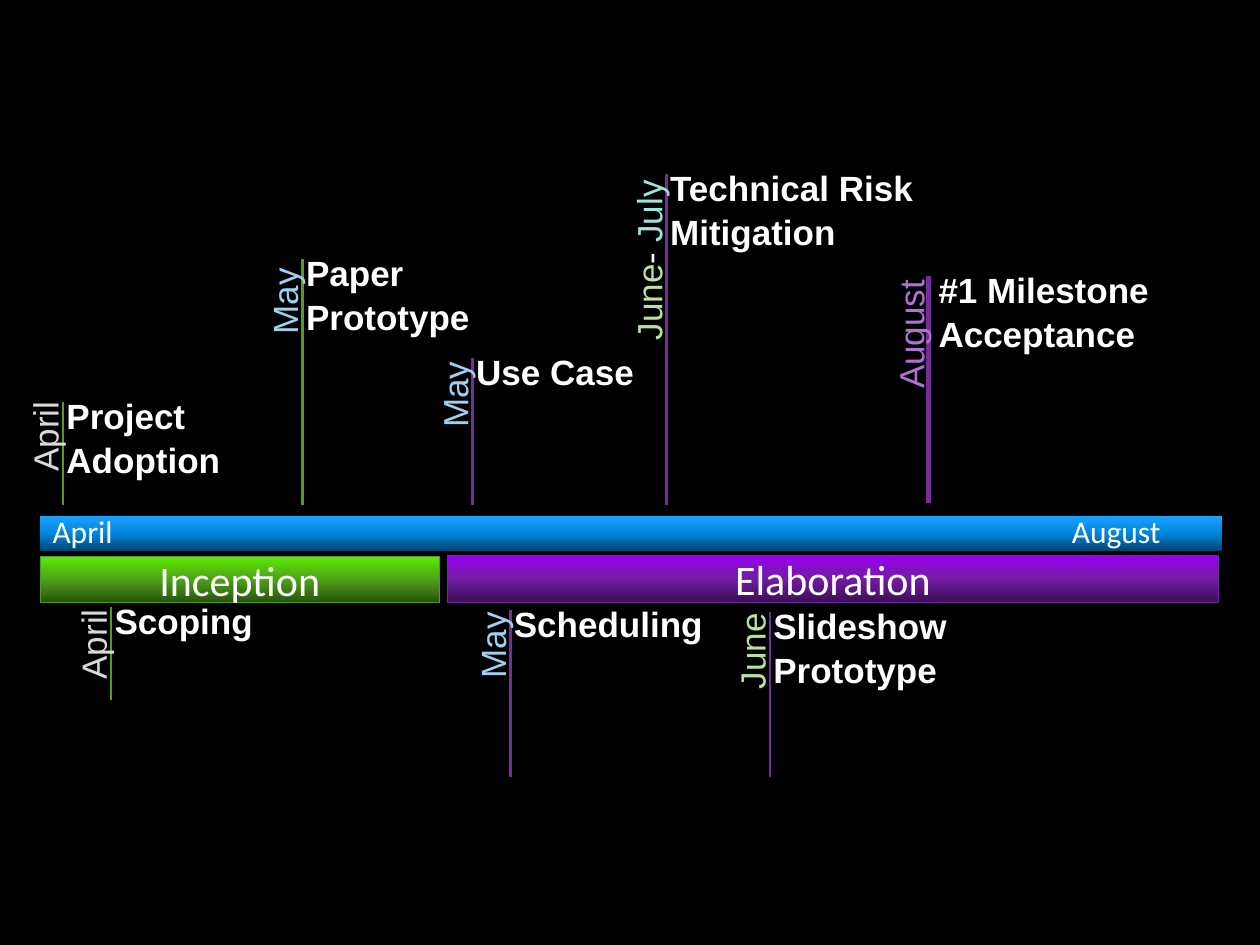
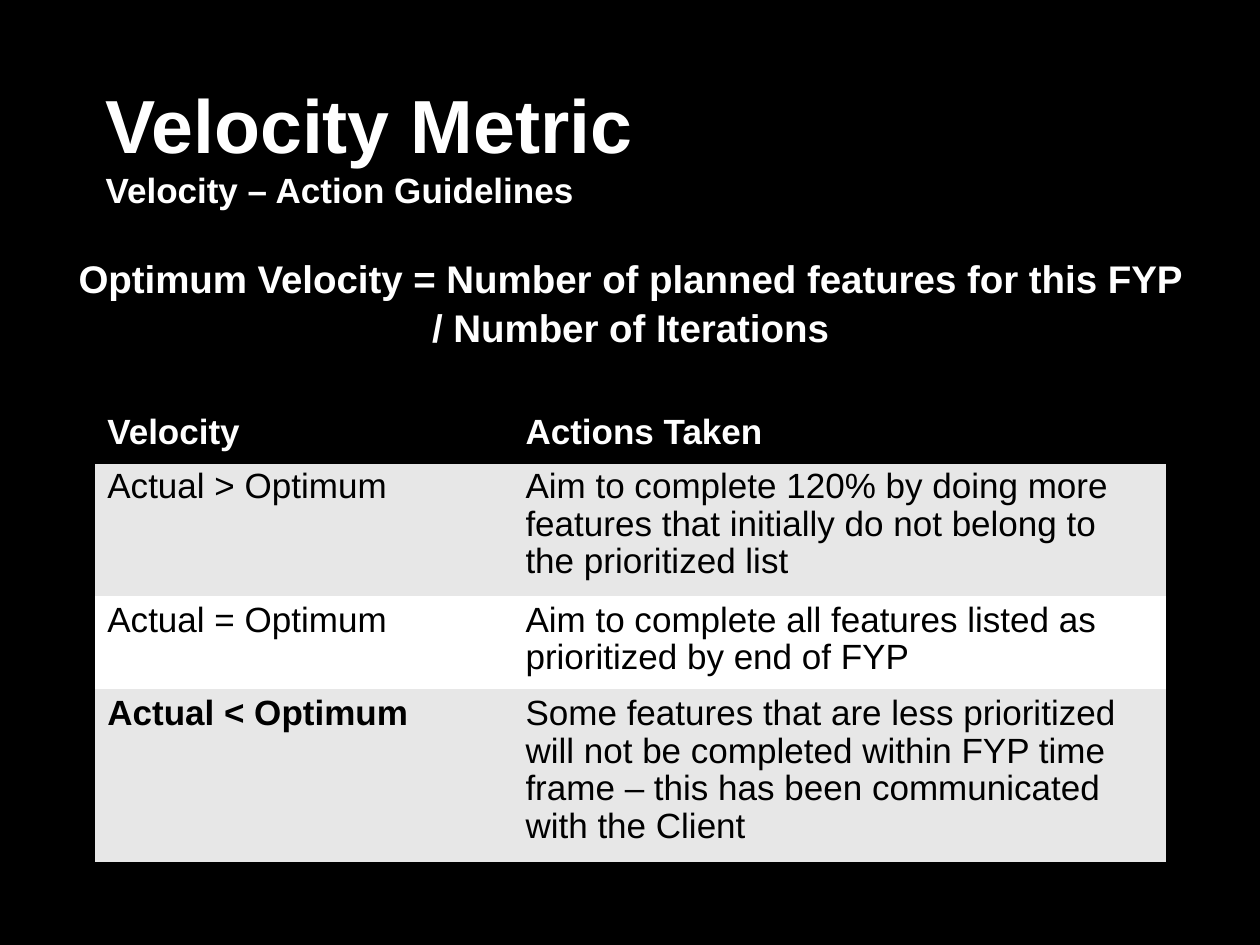
from copy import deepcopy

from lxml import etree
from pptx import Presentation
from pptx.dml import color
from pptx.enum import shapes, text
from pptx.oxml import ns
from pptx.util import Cm, Pt

BLACK, WHITE, GREY = "000000", "FFFFFF", "E7E7E7"
GREEN, PURPLE = "55992B", "732E9A"
MONTH_COLOURS = {"April": "D9D9D9", "May": "9ED0F1", "June": "B8E39D",
                 "July": "9EE4D8", "August": "B070D4"}
LEFT, RIGHT, CENTRE = text.PP_ALIGN.LEFT, text.PP_ALIGN.RIGHT, text.PP_ALIGN.CENTER
TOP, MIDDLE = text.MSO_ANCHOR.TOP, text.MSO_ANCHOR.MIDDLE
NO_GRID_STYLE = "{2D5ABB26-0587-4C30-8999-92F81FD0307C}"


def rgb(value):
    return color.RGBColor.from_string(value)


def write(frame, *lines, size=20, colour=WHITE, font="Arial", bold=False,
          align=LEFT, anchor=TOP, spacing=1.0):
    """Each line is a string or a list of (text, colour, size) spans."""
    frame.word_wrap = True
    frame.vertical_anchor = anchor
    for index, line in enumerate(lines):
        para = frame.add_paragraph() if index else frame.paragraphs[0]
        para.alignment = align
        para.line_spacing = spacing
        spans = [(line, colour, size)] if isinstance(line, str) else line
        for words, span_colour, span_size in spans:
            span = para.add_run()
            span.text = words
            span.font.name = font
            span.font.size = Pt(span_size)
            span.font.bold = bold
            span.font.color.rgb = rgb(span_colour)


def add_text(page, left, top, width, height, *lines, rotation=0, **style):
    box = page.shapes.add_textbox(Cm(left), Cm(top), Cm(width), Cm(height))
    box.rotation = rotation
    write(box.text_frame, *lines, **style)


def new_page(deck):
    page = deck.slides.add_slide(deck.slide_layouts[6])
    page.background.fill.solid()
    page.background.fill.fore_color.rgb = rgb(BLACK)
    return page


# Timeline
def add_bar(page, left, top, width, height, colours, outline=None, title=None):
    """Bar whose three colours run from the bottom edge to the top edge."""
    bar = page.shapes.add_shape(shapes.MSO_SHAPE.RECTANGLE,
                                Cm(left), Cm(top), Cm(width), Cm(height))
    bar.shadow.inherit = False
    bar.fill.gradient()
    bar.fill.gradient_angle = 90
    stop_list = next(bar.element.iter(ns.qn("a:gsLst")))
    stop_list.append(deepcopy(stop_list[0]))
    for index, stop in enumerate(bar.fill.gradient_stops):
        stop.position = index / 2
        stop.color.rgb = rgb(colours[index])
    if outline:
        bar.line.color.rgb = rgb(outline)
        bar.line.width = Pt(0.5)
    else:
        bar.line.fill.background()
    if title:
        write(bar.text_frame, title, size=24, font="Calibri",
              align=CENTRE, anchor=MIDDLE)


def add_milestone(page, x, top, bottom, colour, months, month_length, month_drop,
                  label, label_width, align=LEFT, weight=1.5, label_shift=-0.18):
    """Stem at x, with a month reading upwards on its left and a label on its right."""
    stem = page.shapes.add_connector(shapes.MSO_CONNECTOR.STRAIGHT,
                                     Cm(x), Cm(top), Cm(x), Cm(bottom))
    stem.line.color.rgb = rgb(colour)
    stem.line.width = Pt(weight)
    etree.SubElement(stem.element.spPr, ns.qn("a:effectLst"))

    month_height = 1.12
    spans = [(word, MONTH_COLOURS.get(word, WHITE), 20) for word in months]
    add_text(page, x - 0.4 - month_length / 2, top + month_drop - month_height / 2,
             month_length, month_height, spans, rotation=270, align=align, spacing=1.05)
    add_text(page, x + label_shift, top - 0.32, label_width, 1.96, *label,
             bold=True, spacing=1.05)


def build_timeline(deck):
    page = new_page(deck)
    left = 0.81

    # Bars
    add_bar(page, left, 10.41, 23.83, 0.69, ("014573", "0285DD", "1AA3FF"))
    for month, month_left, width in (("April", left, 2.21), ("August", 21.36, 3.51)):
        add_text(page, month_left, 10.19, width, 1.02, month, size=18, font="Calibri")
    add_bar(page, left, 11.22, 8.05, 0.92, ("28540D", "4DA219", "5AEB00"),
            "529827", "Inception")
    add_bar(page, 9.02, 11.2, 15.54, 0.94, ("3B0F55", "721CA3", "9900F0"),
            "712A99", "Elaboration")

    # Milestones above the bars
    stem_end = 10.19
    add_milestone(page, 1.27, 8.1, stem_end, GREEN, ["April"], 2.16, 0.58,
                  ["Project Adoption"], 3.73)
    add_milestone(page, 6.1, 5.23, stem_end, GREEN, ["May"], 2.29, 1.07,
                  ["Paper Prototype"], 4.55, align=RIGHT)
    add_milestone(page, 9.53, 7.21, stem_end, PURPLE, ["May"], 2.11, 0.61,
                  ["Use Case"], 3.73)
    add_milestone(page, 13.44, 3.51, stem_end, PURPLE, ["June", "- ", "July"], 3.89, 1.65,
                  ["Technical Risk Mitigation"], 5.49)
    add_milestone(page, 18.72, 5.56, 10.13, PURPLE, ["August"], 2.72, 1.19,
                  ["#1 Milestone", "Acceptance"], 5.38,
                  align=RIGHT, weight=2.75, label_shift=-0.05)

    # Milestones below the bars
    add_milestone(page, 2.24, 12.24, 14.12, GREEN, ["April"], 2.29, 0.56,
                  ["Scoping"], 3.73)
    add_milestone(page, 10.29, 12.29, 15.67, PURPLE, ["May"], 2.06, 0.61,
                  ["Scheduling"], 4.52)
    add_milestone(page, 15.52, 12.34, 15.67, PURPLE, ["June"], 2.13, 0.74,
                  ["Slideshow Prototype"], 4.85)


# Velocity guidelines
def add_border(cell, side):
    line = etree.Element(ns.qn(f"a:ln{side}"), w=str(Pt(2)))
    fill = etree.SubElement(line, ns.qn("a:solidFill"))
    etree.SubElement(fill, ns.qn("a:srgbClr"), val=BLACK)
    properties = cell._tc.get_or_add_tcPr()
    properties.insert(len(properties.findall(ns.qn("a:lnT"))), line)


def add_guidelines(page, left, top, widths, rows):
    """Each row is (height, fill, border sides, cell texts)."""
    frame = page.shapes.add_table(len(rows), len(widths), Cm(left), Cm(top),
                                  Cm(sum(widths)), Cm(sum(row[0] for row in rows)))
    table = frame.table
    table.horz_banding = False
    next(frame.element.iter(ns.qn("a:tableStyleId"))).text = NO_GRID_STYLE
    for column, width in zip(table.columns, widths):
        column.width = Cm(width)
    for row_index, (height, fill, sides, words) in enumerate(rows):
        table.rows[row_index].height = Cm(height)
        for column_index, content in enumerate(words):
            cell = table.cell(row_index, column_index)
            cell.fill.solid()
            cell.fill.fore_color.rgb = rgb(fill)
            for side in sides:
                add_border(cell, side)
            heading = row_index == 0
            write(cell.text_frame, content, colour=WHITE if heading else BLACK,
                  bold=heading or content == "Actual < Optimum", spacing=0.96)


def build_velocity(deck):
    page = new_page(deck)
    add_text(page, 1.88, 0.94, 21.59, 3.96,
             [("Velocity Metric", WHITE, 43)],
             [("Velocity – Action Guidelines", WHITE, 20)],
             bold=True, anchor=MIDDLE)
    add_text(page, 1.3, 4.98, 22.83, 1.75,
             "Optimum Velocity = Number of planned features for this FYP"
             " / Number of Iterations",
             size=22, bold=True, align=CENTRE, spacing=1.05)
    add_guidelines(page, 1.91, 8.23, (8.43, 13.16), [
        (1.09, BLACK, "TB", ("Velocity", "Actions Taken")),
        (2.58, GREY, "", (
            "Actual > Optimum",
            "Aim to complete 120% by doing more features that initially"
            " do not belong to the prioritized list")),
        (1.83, WHITE, "", (
            "Actual = Optimum",
            "Aim to complete all features listed as prioritized by end of FYP")),
        (3.37, GREY, "B", (
            "Actual < Optimum",
            "Some features that are less prioritized will not be completed within"
            " FYP time frame – this has been communicated with the Client")),
    ])


def main():
    deck = Presentation()
    deck.slide_width, deck.slide_height = Cm(25.4), Cm(19.05)
    build_timeline(deck)
    build_velocity(deck)
    deck.save("out.pptx")


if __name__ == "__main__":
    main()
